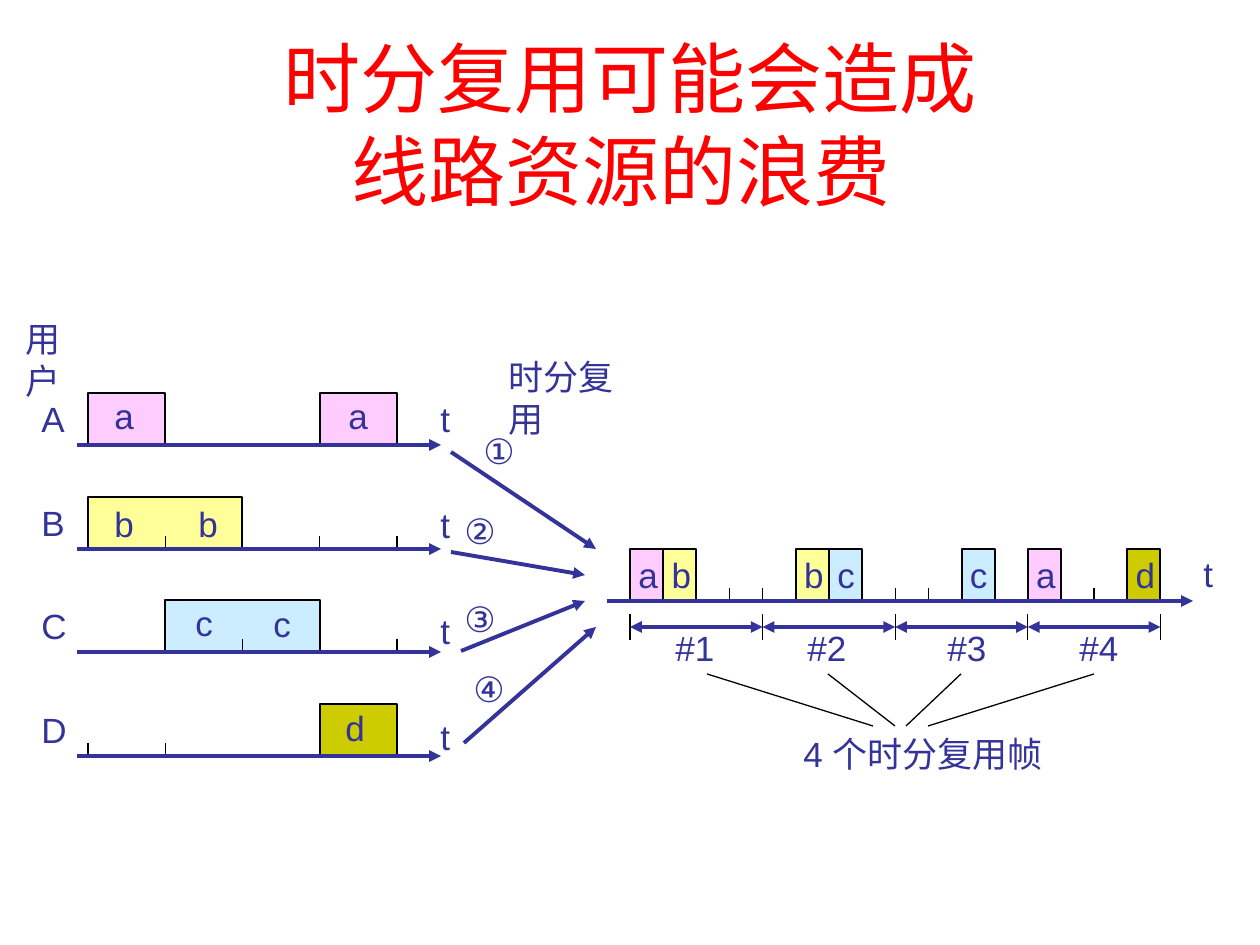
from lxml.etree import SubElement
from pptx import Presentation
from pptx.dml.color import RGBColor
from pptx.enum.shapes import MSO_CONNECTOR
from pptx.enum.text import MSO_ANCHOR, MSO_AUTO_SIZE, PP_ALIGN
from pptx.oxml.ns import qn
from pptx.util import Pt

SCALE = 914400 / 126
INK, BLACK, RED = "333399", "000000", "FF0000"
FILLS = {"a": "FFCCFF", "b": "FFFF99", "c": "CCECFF", "d": "CCCC00"}

TITLE = ["时分复用可能会造成", "线路资源的浪费 "]
USERS = [
    {"name": "A", "blocks": [("a", 0, 1), ("a", 3, 1)], "ticks": [],
     "letters": [("a", 102, 388), ("a", 336, 388)]},
    {"name": "B", "blocks": [("b", 0, 2)], "ticks": [1, 3, 4],
     "letters": [("b", 102, 496), ("b", 186, 496)]},
    {"name": "C", "blocks": [("c", 1, 2)], "ticks": [2, 4],
     "letters": [("c", 183, 595), ("c", 261, 596)]},
    {"name": "D", "blocks": [("d", 3, 1)], "ticks": [0, 1, 3],
     "letters": [("d", 333, 700)]},
]
MUX_CELLS = [("a", 0), ("b", 1), ("b", 5), ("c", 6), ("c", 10), ("a", 12), ("d", 15)]
MUX_TICKS = [2, 3, 4, 8, 9, 14]
FRAMES = [("#1", 663), ("#2", 795), ("#3", 935), ("#4", 1067)]
FRAME_POINTERS = [
    (707, 674, 873, 726), (828, 674, 895, 726),
    (961, 674, 906, 726), (1094, 674, 928, 726),
]
FLOWS = [
    ("①", 471, 423, (451, 452, 596, 549)),
    ("②", 452, 503, (451, 552, 585, 575)),
    ("③", 452, 591, (461, 651, 585, 601)),
    ("④", 461, 661, (464, 743, 596, 627)),
]
CAPTIONS = [
    ("用户", 13, 311, 94),
    ("时分复用", 496, 349, 165),
    ("4 个时分复用帧", 791, 726, 273),
]
WIDTHS = {"c": 43, "t": 34, "A": 48, "B": 48, "C": 50, "D": 50}
LETTER_W, LABEL_H, FRAME_W, FLOW_W = 44, 55, 64, 60

USER_X, USER_SLOT, USER_Y, USER_STEP = 88, 77.25, 445, 103.7
MUX_X, MUX_SLOT, MUX_Y, SLOTS_PER_FRAME = 630, 33.15, 601, 4
BLOCK_H, TICK_H, SPAN_Y = 52, 13, 627

prs = Presentation()
prs.slide_width, prs.slide_height = round(1260 * SCALE), round(945 * SCALE)
slide = prs.slides.add_slide(prs.slide_layouts[6])


def emu(*lengths):
    return [round(length * SCALE) for length in lengths]


def color(value):
    return RGBColor.from_string(value)


def write(paragraph, text, size, font, ink):
    run = paragraph.add_run()
    run.text = text
    run.font.size, run.font.name = Pt(size), font
    run.font.color.rgb = color(ink)


def label(text, x, y, width=None):
    width = width or WIDTHS.get(text, LETTER_W)
    frame = slide.shapes.add_textbox(*emu(x, y, width, LABEL_H)).text_frame
    frame.word_wrap = False
    frame.auto_size = MSO_AUTO_SIZE.SHAPE_TO_FIT_TEXT
    write(frame.paragraphs[0], text, 20, "Arial", INK)


def line(x1, y1, x2, y2, ink=BLACK, width=0.75, heads=()):
    connector = slide.shapes.add_connector(MSO_CONNECTOR.STRAIGHT, *emu(x1, y1, x2, y2))
    connector.line.color.rgb = color(ink)
    connector.line.width = Pt(width)
    outline = connector.line._get_or_add_ln()
    for end in heads:
        SubElement(outline, qn("a:" + end), type="triangle")
    SubElement(connector._element.spPr, qn("a:effectLst"))


def arrow(x1, y1, x2, y2, heads=("tailEnd",)):
    line(x1, y1, x2, y2, INK, 2.25, heads)


def block(letter, left, right, base):
    top = base - BLOCK_H
    builder = slide.shapes.build_freeform(round(left), base, SCALE)
    builder.add_line_segments(
        [(round(left), top), (round(right), top), (round(right), base)], close=False)
    shape = builder.convert_to_shape()
    shape.shadow.inherit = False
    shape.fill.solid()
    shape.fill.fore_color.rgb = color(FILLS[letter])
    shape.line.color.rgb = color(BLACK)
    shape.line.width = Pt(0.75)


def tick(x, base):
    line(x, base - TICK_H, x, base)


def user_x(slot):
    return USER_X + slot * USER_SLOT


def mux_x(slot):
    return MUX_X + slot * MUX_SLOT


title_frame = slide.shapes.add_textbox(*emu(0, 44, 1260, 158)).text_frame
title_frame.word_wrap = True
title_frame.vertical_anchor = MSO_ANCHOR.MIDDLE
heading = title_frame.paragraphs[0]
heading.alignment = PP_ALIGN.CENTER
for row, words in enumerate(TITLE):
    if row:
        heading.add_line_break()
    write(heading, words, 44, "Times New Roman", RED)

for row, user in enumerate(USERS):
    base = round(USER_Y + row * USER_STEP)
    for letter, slot, count in user["blocks"]:
        block(letter, user_x(slot), user_x(slot + count), base)
    for slot in user["ticks"]:
        tick(user_x(slot), base)
    for letter in user["letters"]:
        label(*letter)
    label(user["name"], 29, base - 54)
    label("t", 428, 391 + row * 106)
    arrow(77, base, 441, base)

for letter, slot in MUX_CELLS:
    block(letter, mux_x(slot), mux_x(slot + 1), MUX_Y)
for slot in MUX_TICKS:
    tick(mux_x(slot), MUX_Y)
for letter, slot in MUX_CELLS:
    label(letter, mux_x(slot) - 4, 547)
label("t", 1191, 546)
arrow(607, MUX_Y, 1193, MUX_Y)

for boundary in range(len(FRAMES) + 1):
    x = mux_x(boundary * SLOTS_PER_FRAME)
    line(x, SPAN_Y - TICK_H, x, SPAN_Y + TICK_H)
for number, (name, left) in enumerate(FRAMES):
    start = number * SLOTS_PER_FRAME
    arrow(mux_x(start), SPAN_Y, mux_x(start + SLOTS_PER_FRAME), SPAN_Y, ("headEnd", "tailEnd"))
    label(name, left, 620, FRAME_W)
for pointer in FRAME_POINTERS:
    line(*pointer)

for mark, left, top, route in FLOWS:
    arrow(*route)
    label(mark, left, top, FLOW_W)
for caption in CAPTIONS:
    label(*caption)

prs.save("out.pptx")
